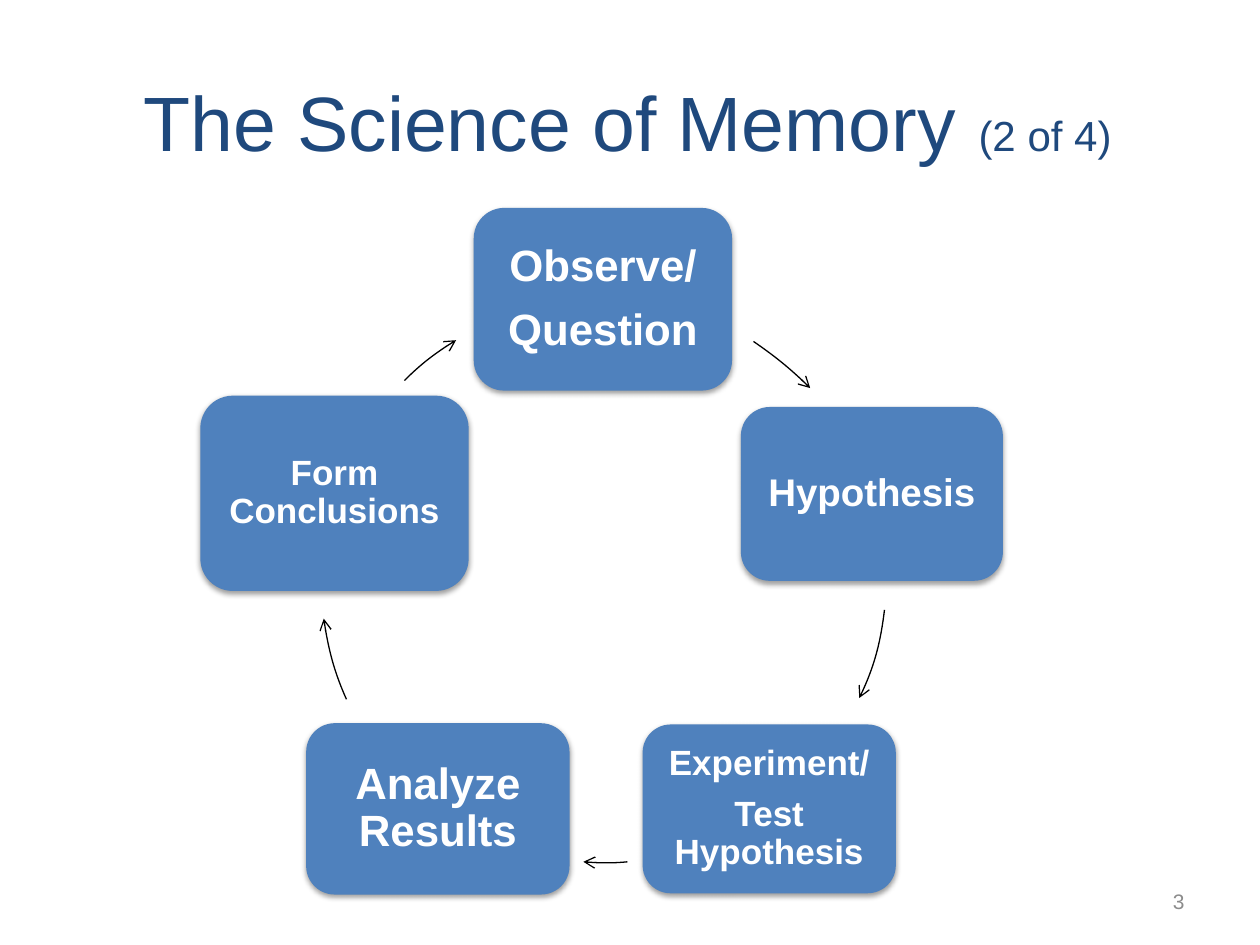
from lxml import etree
from pptx import Presentation
from pptx import util as u
from pptx.dml import color
from pptx.enum import shapes, text
from pptx.oxml import ns

COLORS = {"title": "1F497D", "number": "8C8C8C", "step": "4F81BD",
          "label": "FFFFFF", "arrow": "000000", "shadow": "000000"}
FONT = "Arial"

prs = Presentation()
prs.slide_width, prs.slide_height = u.Inches(10), u.Inches(7.5)
slide = prs.slides.add_slide(prs.slide_layouts[6])


def rgb(name):
    return color.RGBColor.from_string(COLORS[name])


def write(shape, paragraphs, ink, align=text.PP_ALIGN.CENTER, bold=False,
          inset=None, line_spacing=None, space_after=None):
    """Fill a shape with paragraphs, each a list of (text, size) runs."""
    frame = shape.text_frame
    frame.word_wrap = True
    frame.vertical_anchor = text.MSO_ANCHOR.MIDDLE
    if inset is not None:
        frame.margin_left = frame.margin_right = u.Inches(inset)
        frame.margin_top = frame.margin_bottom = u.Inches(inset)
    for i, runs in enumerate(paragraphs):
        para = frame.add_paragraph() if i else frame.paragraphs[0]
        para.alignment = align
        if line_spacing:
            para.line_spacing = line_spacing
        if space_after:
            para.space_after = u.Pt(space_after)
        for words, size in runs:
            run = para.add_run()
            run.text = words
            run.font.name, run.font.size, run.font.bold = FONT, u.Pt(size), bold
            run.font.color.rgb = rgb(ink)


# Title and slide number
title = slide.shapes.add_textbox(*map(u.Inches, (0.48, 0.33, 9, 1.25)))
write(title, [[("The Science of Memory ", 44), ("(2 of 4)", 24)]], "title")
number = slide.shapes.add_textbox(*map(u.Inches, (9, 6.95, 0.5, 0.4)))
write(number, [[("3", 12)]], "number", align=text.PP_ALIGN.RIGHT)

# Steps of the cycle, clockwise: box, text size, inset, lines
steps = [
    ((3.76, 1.65, 2.05, 1.45), 25, 0.1, ["Observe/", "Question"]),
    ((5.88, 3.23, 2.08, 1.38), 22, 0.09, ["Hypothesis"]),
    ((5.1, 5.75, 2.01, 1.34), 20, 0.08, ["Experiment/", "Test Hypothesis"]),
    ((2.43, 5.74, 2.09, 1.36), 25, 0.1, ["Analyze Results"]),
    ((1.59, 3.14, 2.13, 1.55), 20, 0.08, ["Form Conclusions"]),
]
for box, size, inset, lines in steps:
    step = slide.shapes.add_shape(shapes.MSO_SHAPE.ROUNDED_RECTANGLE,
                                  *map(u.Inches, box))
    step.fill.solid()
    step.fill.fore_color.rgb = rgb("step")
    step.line.fill.background()
    step.shadow.inherit = False
    effects = step.element.spPr.find(ns.qn("a:effectLst"))
    shadow = etree.SubElement(effects, ns.qn("a:outerShdw"), blurRad="40000",
                              dist="20000", dir="5400000", rotWithShape="0")
    tint = etree.SubElement(shadow, ns.qn("a:srgbClr"), val=COLORS["shadow"])
    etree.SubElement(tint, ns.qn("a:alpha"), val="38000")
    write(step, [[(line, size)] for line in lines], "label", bold=True,
          inset=inset, line_spacing=0.9, space_after=size * 0.38)

# Curved arrows on one ring: start, two control points, end
ring_left, ring_top, ring_size = map(u.Inches, (2.55, 2.37, 4.48))
arcs = [
    [(5.98, 2.71), (6.14, 2.82), (6.29, 2.94), (6.43, 3.08)],
    [(7.02, 4.84), (6.99, 5.09), (6.93, 5.32), (6.82, 5.54)],
    [(4.98, 6.84), (4.87, 6.85), (4.75, 6.85), (4.63, 6.84)],
    [(2.75, 5.55), (2.66, 5.35), (2.6, 5.13), (2.57, 4.91)],
    [(3.21, 3.02), (3.33, 2.9), (3.47, 2.79), (3.62, 2.7)],
]
for start, *rest in arcs:
    builder = slide.shapes.build_freeform(*map(u.Inches, start), scale=1.0)
    builder.add_line_segments([tuple(map(u.Inches, p)) for p in rest], close=False)
    arrow = builder.convert_to_shape()
    arrow.fill.background()
    arrow.line.color.rgb = rgb("arrow")
    arrow.line.width = u.Pt(0.75)
    arrow.shadow.inherit = False
    # Merge the three segments into one Bezier curve
    outline = next(arrow.element.iter(ns.qn("a:path")))
    curve = etree.SubElement(outline, ns.qn("a:cubicBezTo"))
    for segment in outline.findall(ns.qn("a:lnTo")):
        curve.append(segment[0])
        outline.remove(segment)
    # Give every arrow the frame of the whole ring
    for point in outline.iter(ns.qn("a:pt")):
        point.set("x", str(int(point.get("x")) + arrow.left - ring_left))
        point.set("y", str(int(point.get("y")) + arrow.top - ring_top))
    outline.set("w", str(int(ring_size)))
    outline.set("h", str(int(ring_size)))
    arrow.left, arrow.top = ring_left, ring_top
    arrow.width = arrow.height = ring_size
    stroke = arrow.element.spPr.find(ns.qn("a:ln"))
    etree.SubElement(stroke, ns.qn("a:tailEnd"), type="arrow")

prs.save("out.pptx")
